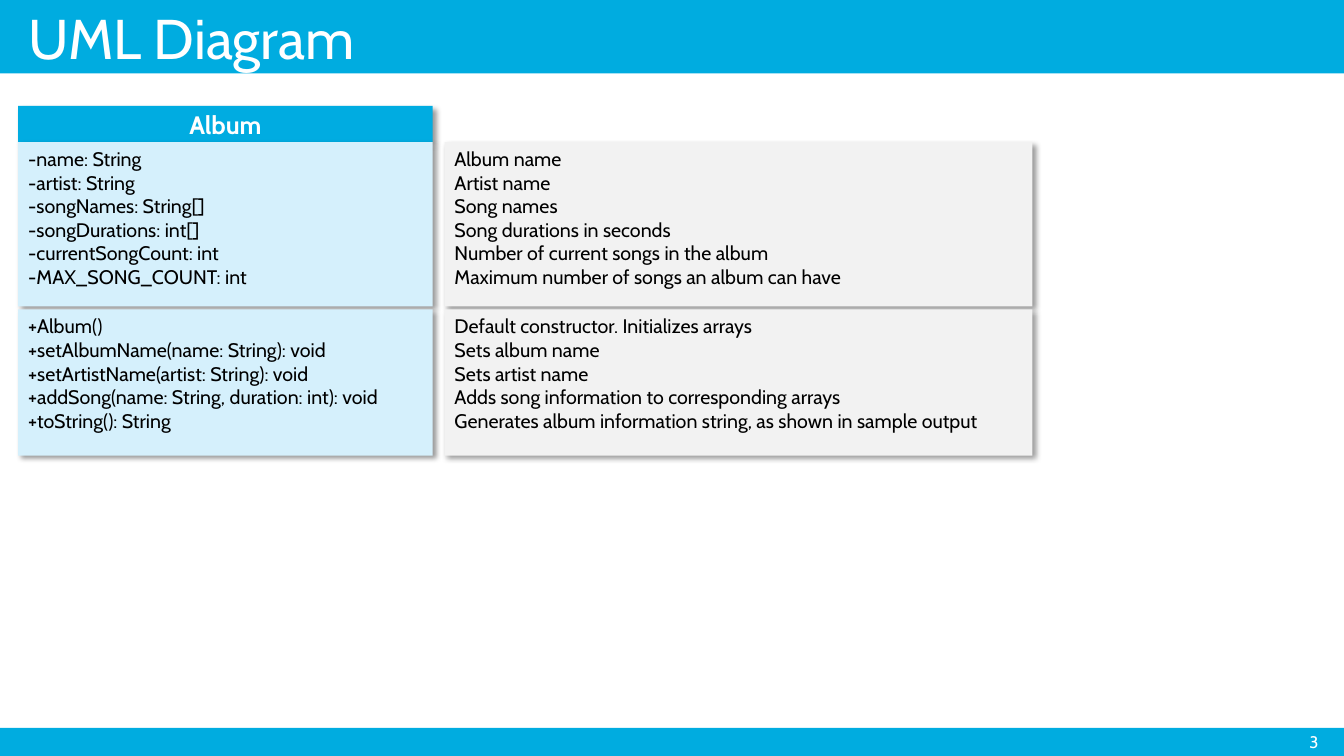
from lxml import etree
from pptx import Presentation
from pptx.dml.color import RGBColor
from pptx.enum.shapes import MSO_SHAPE
from pptx.enum.text import MSO_ANCHOR, PP_ALIGN
from pptx.oxml.ns import qn
from pptx.util import Pt

RECTANGLE = MSO_SHAPE.RECTANGLE
TOP, MIDDLE = MSO_ANCHOR.TOP, MSO_ANCHOR.MIDDLE
LEFT, CENTER, RIGHT = PP_ALIGN.LEFT, PP_ALIGN.CENTER, PP_ALIGN.RIGHT

FONT = "Cabin"
WHITE = RGBColor(0xFF, 0xFF, 0xFF)
BLACK = RGBColor(0x00, 0x00, 0x00)
BAND_BLUE = RGBColor(0x00, 0xAC, 0xE0)
HEADER_BLUE = RGBColor(0x00, 0xAC, 0xE1)
PALE_BLUE = RGBColor(0xD5, 0xF0, 0xFC)
PALE_GRAY = RGBColor(0xF2, 0xF2, 0xF2)

SLIDE_WIDTH, SLIDE_HEIGHT = 960, 540
CLASS_LEFT, CLASS_WIDTH = 13, 296
NOTES_LEFT, NOTES_WIDTH = 317.5, 420
HEADER_TOP, HEADER_HEIGHT = 75.6, 26

# Each compartment: top, height, and pairs of member and description.
COMPARTMENTS = [
    (101.5, 117.4, [
        ("-name: String", "Album name"),
        ("-artist: String", "Artist name"),
        ("-songNames: String[]", "Song names"),
        ("-songDurations: int[]", "Song durations in seconds"),
        ("-currentSongCount: int", "Number of current songs in the album"),
        ("-MAX_SONG_COUNT: int", "Maximum number of songs an album can have"),
    ]),
    (221, 104.4, [
        ("+Album()", "Default constructor. Initializes arrays"),
        ("+setAlbumName(name: String): void", "Sets album name"),
        ("+setArtistName(artist: String): void", "Sets artist name"),
        ("+addSong(name: String, duration: int): void",
         "Adds song information to corresponding arrays"),
        ("+toString(): String",
         "Generates album information string, as shown in sample output"),
    ]),
]


def write_lines(shape, lines, size, color, align=LEFT, anchor=TOP,
                bold=False, spacing=1.0):
    """Fill a shape with one formatted paragraph per line."""
    frame = shape.text_frame
    frame.word_wrap = True
    frame.vertical_anchor = anchor
    frame.text = "\n".join(lines)
    for paragraph in frame.paragraphs:
        paragraph.alignment = align
        paragraph.line_spacing = spacing
        for run in paragraph.runs:
            run.font.name = FONT
            run.font.size = Pt(size)
            run.font.bold = bold
            run.font.color.rgb = color


def add_block(slide, left, top, width, height, fill):
    """Add a plain filled rectangle and return it."""
    block = slide.shapes.add_shape(
        RECTANGLE, Pt(left), Pt(top), Pt(width), Pt(height))
    block.shadow.inherit = False
    block.fill.solid()
    block.fill.fore_color.rgb = fill
    block.line.fill.background()
    return block


def add_shadow(block):
    """Give a block a soft shadow towards the lower right."""
    effects = block._element.spPr.find(qn("a:effectLst"))
    shadow = etree.SubElement(
        effects, qn("a:outerShdw"), blurRad=str(Pt(4)), dist=str(Pt(3)),
        dir="2700000", algn="tl", rotWithShape="0")
    color = etree.SubElement(shadow, qn("a:srgbClr"), val=str(BLACK))
    etree.SubElement(color, qn("a:alpha"), val="40000")


def add_panel(slide, left, top, width, height, fill, lines,
              size=14, color=BLACK, **text_format):
    """Add a shadowed rectangle holding lines of text."""
    panel = add_block(slide, left, top, width, height, fill)
    add_shadow(panel)
    write_lines(panel, lines, size, color, **text_format)


def add_label(slide, left, top, width, height, text, size, **text_format):
    """Add a white text box."""
    label = slide.shapes.add_textbox(
        Pt(left), Pt(top), Pt(width), Pt(height))
    write_lines(label, [text], size, WHITE, **text_format)


def main():
    """Build the class diagram slide and save it."""
    deck = Presentation()
    deck.slide_width, deck.slide_height = Pt(SLIDE_WIDTH), Pt(SLIDE_HEIGHT)
    slide = deck.slides.add_slide(deck.slide_layouts[6])

    add_block(slide, 0, -0.5, SLIDE_WIDTH, 53, BAND_BLUE)
    add_block(slide, 0, 520, SLIDE_WIDTH, 20, BAND_BLUE)
    add_label(slide, CLASS_LEFT, 4.3, 935, 46.8, "UML Diagram", 40,
              spacing=0.9)
    add_label(slide, 905, 521.3, 44, 17.3, "3", 12, align=RIGHT,
              anchor=MIDDLE)

    add_panel(slide, CLASS_LEFT, HEADER_TOP, CLASS_WIDTH, HEADER_HEIGHT,
              HEADER_BLUE, ["Album"], size=18, color=WHITE, align=CENTER,
              anchor=MIDDLE, bold=True)
    for top, height, rows in COMPARTMENTS:
        members, descriptions = zip(*rows)
        add_panel(slide, CLASS_LEFT, top, CLASS_WIDTH, height, PALE_BLUE,
                  members)
        add_panel(slide, NOTES_LEFT, top, NOTES_WIDTH, height, PALE_GRAY,
                  descriptions)

    deck.save("out.pptx")


main()
